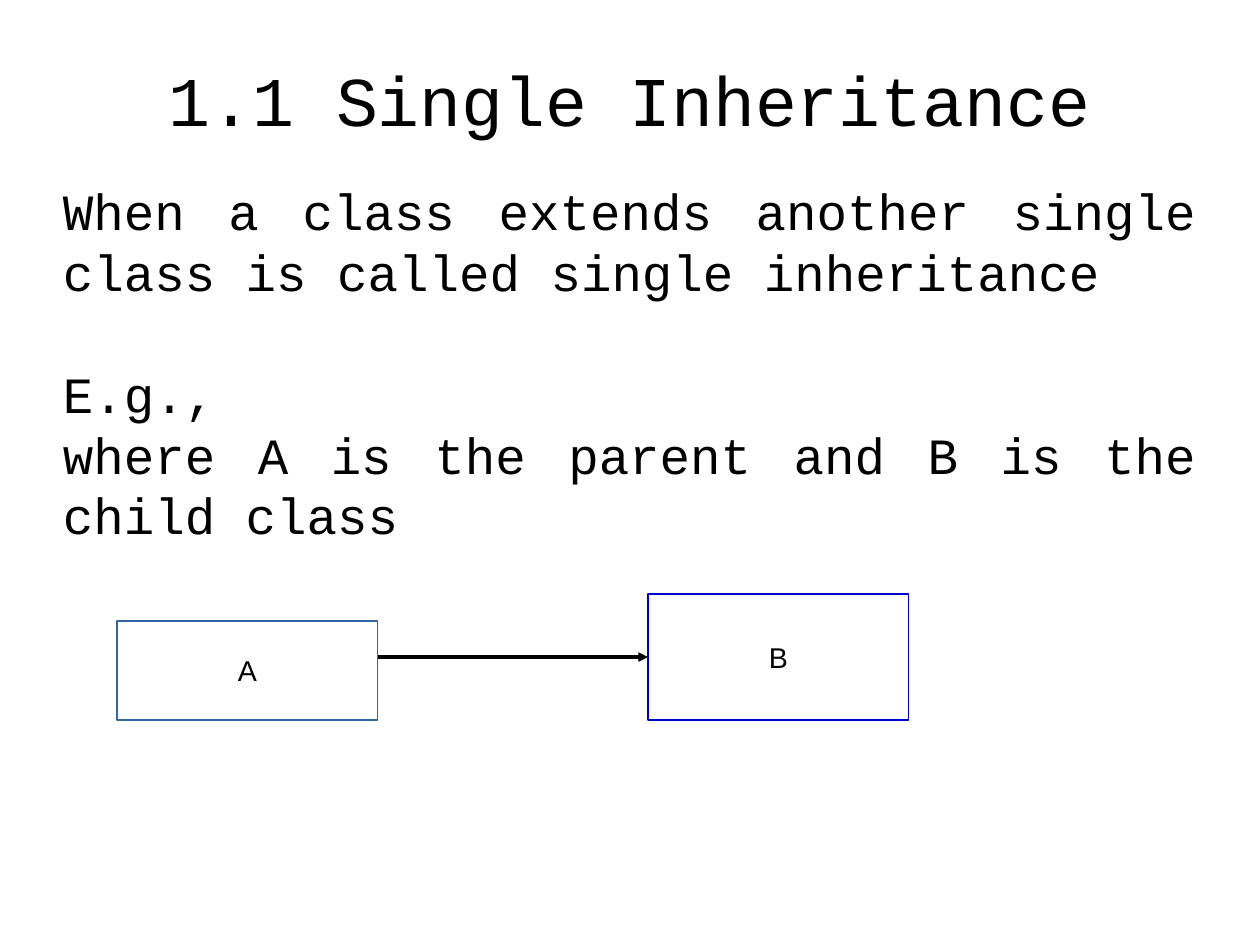
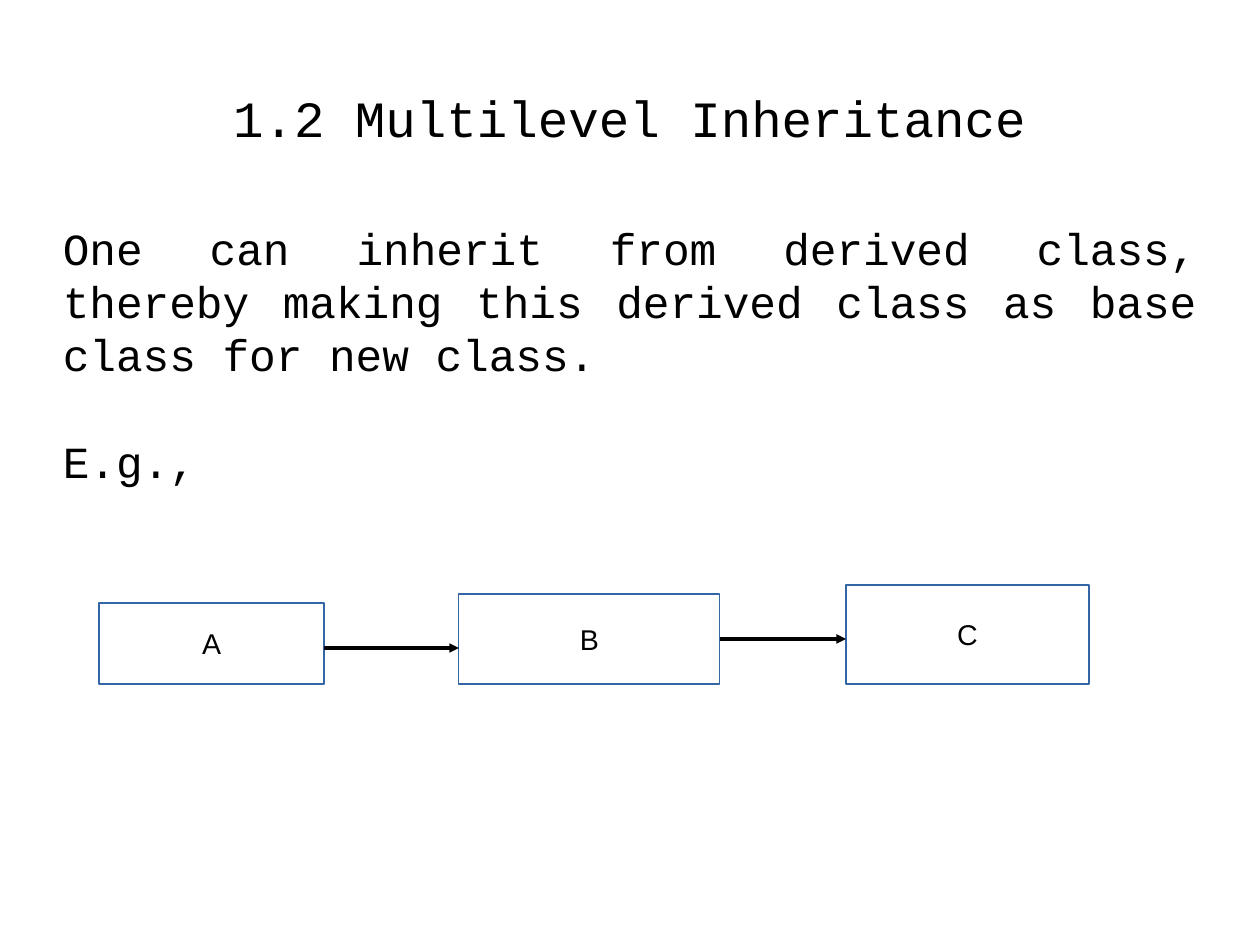
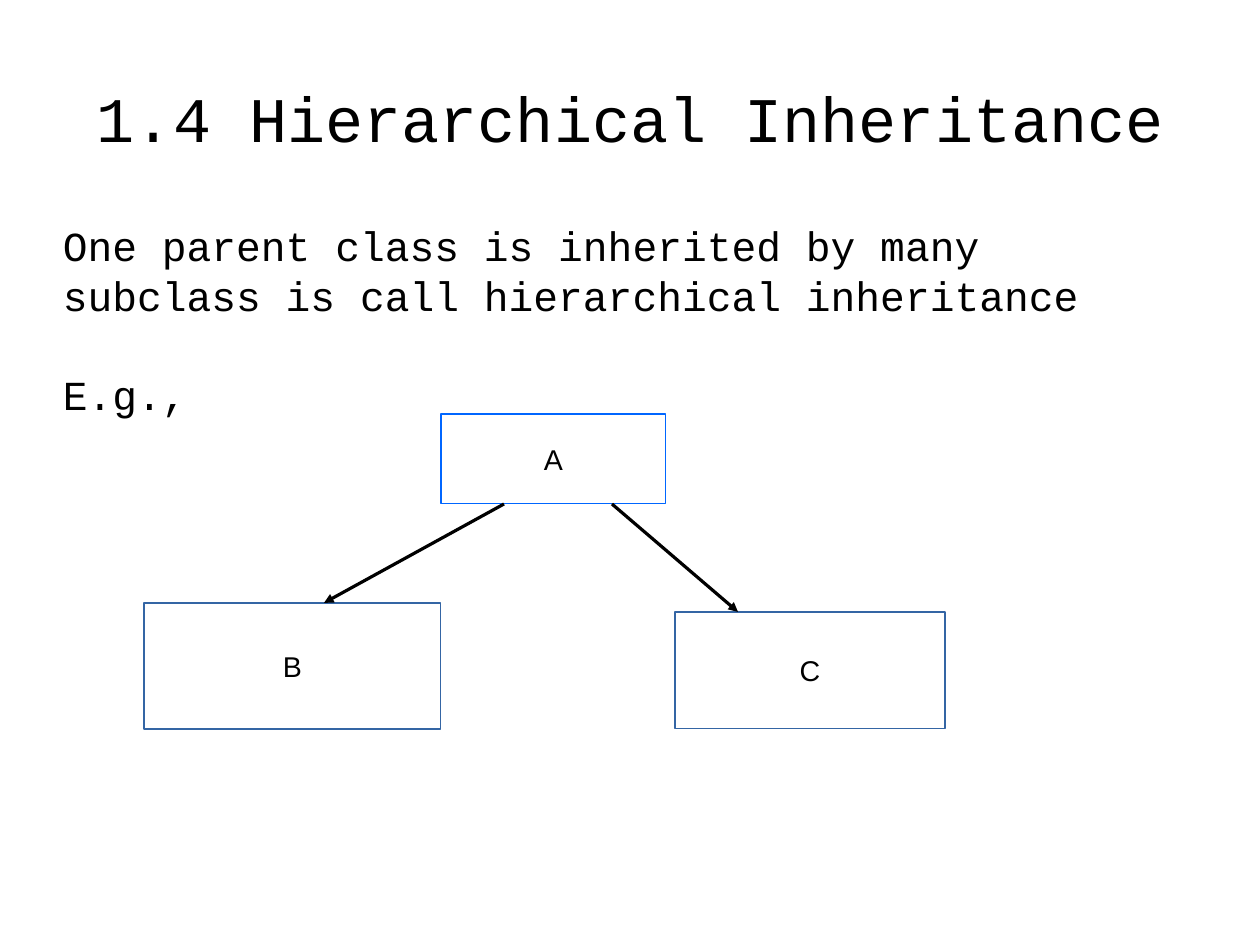
from dataclasses import dataclass

from lxml import etree
from pptx import Presentation
from pptx import util as u
from pptx.dml.color import RGBColor
from pptx.enum import shapes, text
from pptx.oxml.ns import qn

WIDTH, HEIGHT = 793.7, 595.3
LEFT, TEXT_WIDTH = 39.6, 714.4
MONO, SANS = "Courier New", "Arial"
BLACK, WHITE, BLUE = "000000", "FFFFFF", "3465A4"
CENTER, JUSTIFY = text.PP_ALIGN.CENTER, text.PP_ALIGN.JUSTIFY
LINE_HEIGHT = 1.2


@dataclass(frozen=True)
class Box:
    label: str
    left: float
    top: float
    width: float
    height: float
    line: str = BLUE

    @property
    def right(self) -> float:
        return self.left + self.width

    @property
    def bottom(self) -> float:
        return self.top + self.height


@dataclass(frozen=True)
class Arrow:
    parent: str
    child: str
    start: float
    end: float
    down: bool = False


@dataclass(frozen=True)
class Para:
    words: str
    gap_lines: int = 0


@dataclass(frozen=True)
class Topic:
    title: str
    title_size: float
    title_top: float
    title_height: float
    body: tuple[Para, ...]
    body_size: float
    body_top: float
    body_height: float
    boxes: tuple[Box, ...]
    arrows: tuple[Arrow, ...]
    body_align: text.PP_ALIGN = JUSTIFY


TOPICS = (
    Topic(
        "1.1 Single Inheritance", 44, 22.3, 79.2,
        (
            Para("When a class extends another single class is called single inheritance"),
            Para("E.g.,", 1),
            Para("where A is the parent and B is the child class"),
        ),
        32, 113, 413.3,
        (
            Box("A", 73.7, 391.2, 164.4, 62.4),
            Box("B", 408.2, 374.2, 164.4, 79.4, "0000CC"),
        ),
        (Arrow("A", "B", 413.9, 413.9),),
    ),
    Topic(
        "1.2 Multilevel Inheritance", 32, 23.8, 99.4,
        (
            Para("One can inherit from derived class, thereby making this derived "
                 "class as base class for new class."),
            Para("E.g.,", 1),
        ),
        28, 139, 344.9,
        (
            Box("A", 62.4, 379.8, 141.7, 51.1),
            Box("B", 289.1, 374.2, 164.4, 56.7),
            Box("C", 532.9, 368.5, 153.1, 62.4),
        ),
        (Arrow("A", "B", 408.2, 408.2), Arrow("B", "C", 402.5, 402.5)),
    ),
    Topic(
        "1.4 Hierarchical Inheritance", 40, 23.8, 99.4,
        (
            Para("One parent class is inherited by many subclass is call "
                 "hierarchical inheritance"),
            Para("E.g.,", 1),
        ),
        26, 139, 344.9,
        (
            Box("A", 277.8, 260.8, 141.7, 56.7, "0066FF"),
            Box("B", 90.7, 379.8, 187.1, 79.4),
            Box("C", 425.2, 385.5, 170.1, 73.7),
        ),
        (Arrow("A", "B", 317.5, 204.1, True), Arrow("A", "C", 385.5, 464.9, True)),
        text.PP_ALIGN.LEFT,
    ),
)


def color(value: str) -> RGBColor:
    return RGBColor.from_string(value)


def style(p, size: float, font: str, align: text.PP_ALIGN) -> None:
    p.alignment = align
    for r in p.runs:
        r.font.size = u.Pt(size)
        r.font.name = font
        r.font.color.rgb = color(BLACK)


def add_text(s, top: float, height: float, paras: tuple[Para, ...], size: float,
             align: text.PP_ALIGN, anchor: text.MSO_ANCHOR) -> None:
    sp = s.shapes.add_textbox(u.Pt(LEFT), u.Pt(top), u.Pt(TEXT_WIDTH), u.Pt(height))
    tf = sp.text_frame
    tf.word_wrap = True
    tf.vertical_anchor = anchor
    tf.margin_left = tf.margin_right = tf.margin_top = tf.margin_bottom = 0
    for i, para in enumerate(paras):
        p = tf.add_paragraph() if i else tf.paragraphs[0]
        p.text = para.words
        p.space_before = u.Pt(round(para.gap_lines * size * LINE_HEIGHT, 1))
        style(p, size, MONO, align)


def add_box(s, box: Box) -> None:
    sp = s.shapes.add_shape(shapes.MSO_SHAPE.RECTANGLE, u.Pt(box.left), u.Pt(box.top),
                            u.Pt(box.width), u.Pt(box.height))
    sp.shadow.inherit = False
    sp.fill.solid()
    sp.fill.fore_color.rgb = color(WHITE)
    sp.line.color.rgb = color(box.line)
    sp.line.width = u.Pt(0)
    tf = sp.text_frame
    tf.word_wrap = False
    tf.vertical_anchor = text.MSO_ANCHOR.MIDDLE
    tf.text = box.label
    style(tf.paragraphs[0], 18, SANS, CENTER)


def add_arrow(s, arrow: Arrow, boxes: dict[str, Box]) -> None:
    parent, child = boxes[arrow.parent], boxes[arrow.child]
    if arrow.down:
        points = (arrow.start, parent.bottom, arrow.end, child.top)
    else:
        points = (parent.right, arrow.start, child.left, arrow.end)
    line = s.shapes.add_connector(shapes.MSO_CONNECTOR.STRAIGHT, *map(u.Pt, points))
    line.line.color.rgb = color(BLACK)
    line.line.width = u.Pt(0)
    etree.SubElement(line.line._get_or_add_ln(), qn("a:tailEnd"), type="triangle")
    etree.SubElement(line._element.spPr, qn("a:effectLst"))


def add_topic(prs, topic: Topic) -> None:
    s = prs.slides.add_slide(prs.slide_layouts[6])
    add_text(s, topic.title_top, topic.title_height, (Para(topic.title),),
             topic.title_size, CENTER, text.MSO_ANCHOR.MIDDLE)
    add_text(s, topic.body_top, topic.body_height, topic.body,
             topic.body_size, topic.body_align, text.MSO_ANCHOR.TOP)
    for box in topic.boxes:
        add_box(s, box)
    boxes = {box.label: box for box in topic.boxes}
    for arrow in topic.arrows:
        add_arrow(s, arrow, boxes)


def main() -> None:
    prs = Presentation()
    prs.slide_width, prs.slide_height = u.Pt(WIDTH), u.Pt(HEIGHT)
    for topic in TOPICS:
        add_topic(prs, topic)
    prs.save("out.pptx")


if __name__ == "__main__":
    main()
